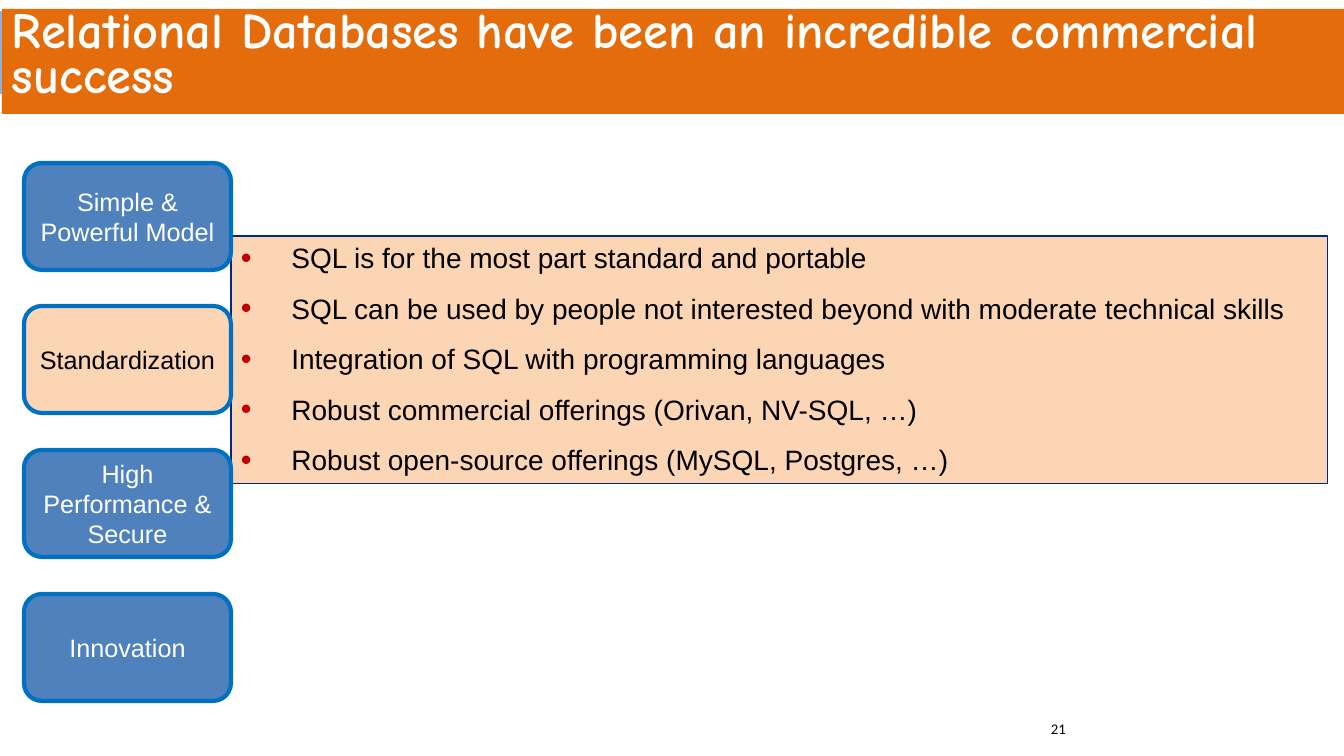
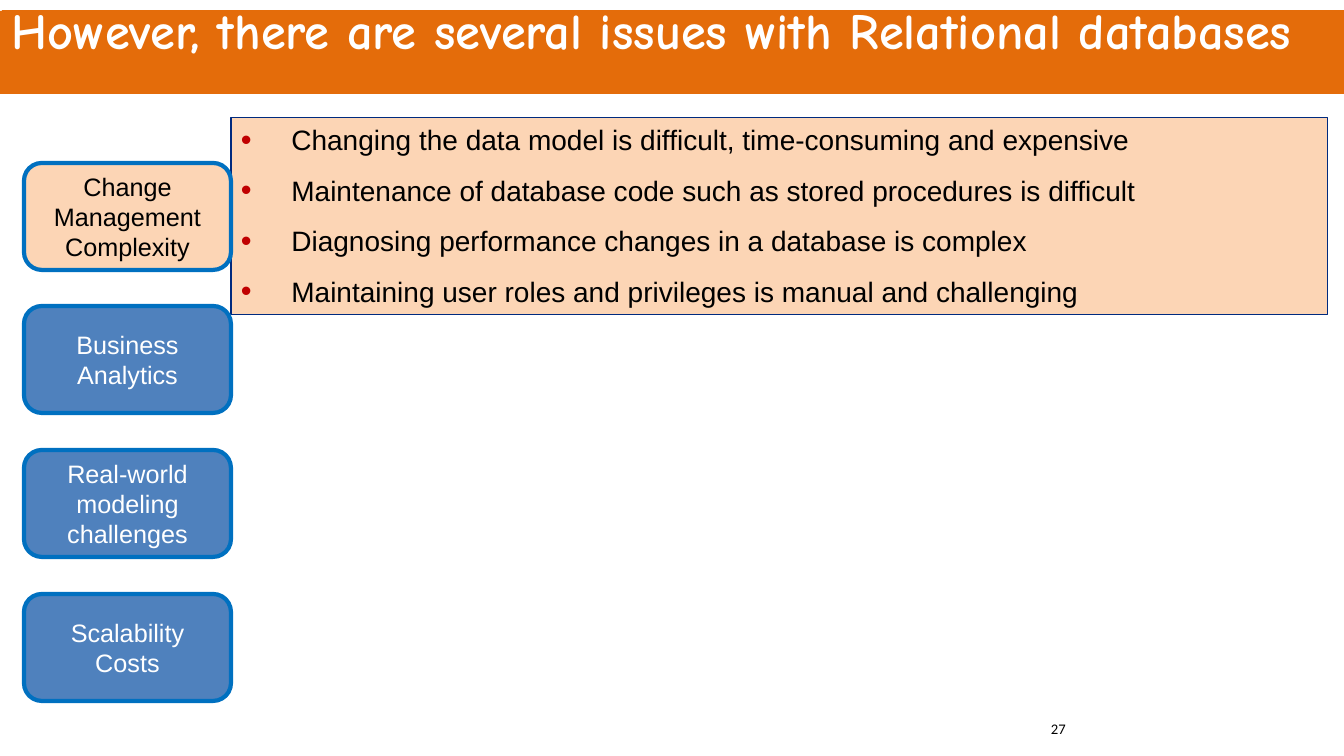
"""Build two slides on the strengths and the issues of relational databases."""
import dataclasses

import lxml.etree
import pptx
import pptx.dml.color
import pptx.enum.shapes
import pptx.enum.text
import pptx.oxml.ns
import pptx.util

RGB = pptx.dml.color.RGBColor.from_string
SHAPES = pptx.enum.shapes.MSO_SHAPE
TEXT = pptx.enum.text
SCALE = 12192000 / 1344


@dataclasses.dataclass(frozen=True)
class Theme:
    """Colours, fonts and type sizes."""
    band: str = "E46C0A"
    glow: tuple = ((0, "566A83"), (50, "7A97BA"), (100, "90B3DC"))
    topic: str = "4F81BD"
    topic_border: str = "0070C0"
    highlight: str = "FCD5B5"
    panel_border: str = "002A7E"
    bullet: str = "C00000"
    light: str = "FFFFFF"
    dark: str = "000000"
    title_font: str = "Comic Neue"
    body_font: str = "Arial"
    number_font: str = "Calibri"
    title_size: float = 36
    title_spacing: float = 32
    point_size: float = 20
    topic_size: float = 18
    number_size: float = 10.5


def px(length):
    """Turn pixels into EMU."""
    return pptx.util.Emu(round(length * SCALE))


def apply(target, **formats):
    """Set each format value as an attribute of the target."""
    for attribute, value in formats.items():
        setattr(target, attribute, value)


def add_xml(parent, tag, **attributes):
    """Append a DrawingML element to the parent."""
    return lxml.etree.SubElement(parent, pptx.oxml.ns.qn(tag), attributes)


class Deck:
    """Hold the style and the current slide, and draw each kind of element."""

    def __init__(self, theme):
        """Start an empty wide presentation."""
        self.theme = theme
        self.presentation = pptx.Presentation()
        apply(self.presentation, slide_width=px(1344), slide_height=px(756))
        self.slide = None

    def new_slide(self):
        """Make a blank slide the current one."""
        self.slide = self.presentation.slides.add_slide(self.presentation.slide_layouts[6])

    def box(self, frame, fill, border=None, weight=0, preset=SHAPES.RECTANGLE):
        """Draw a filled preset shape, with a border if one is given."""
        shape = self.slide.shapes.add_shape(preset, *map(px, frame))
        shape.shadow.inherit = False
        shape.fill.solid()
        shape.fill.fore_color.rgb = RGB(fill)
        if border:
            shape.line.color.rgb = RGB(border)
            shape.line.width = pptx.util.Pt(weight)
        else:
            shape.line.fill.background()
        return shape

    def set_text(self, shape, lines, font, size, color, bold=False, bulleted=False,
                 frame_format=None, **paragraph_format):
        """Fill a shape with one paragraph a line."""
        frame = shape.text_frame
        apply(frame, word_wrap=True, **(frame_format or {}))
        for index, line in enumerate(lines):
            paragraph = frame.add_paragraph() if index else frame.paragraphs[0]
            apply(paragraph, **paragraph_format)
            if bulleted:
                self.bullet(paragraph)
            run = paragraph.add_run()
            run.text = line
            apply(run.font, name=font, size=pptx.util.Pt(size), bold=bold)
            run.font.color.rgb = RGB(color)

    def bullet(self, paragraph):
        """Give a paragraph a hanging coloured bullet."""
        properties = paragraph._p.get_or_add_pPr()
        indent = pptx.util.Inches(0.5)
        properties.set("marL", str(int(indent)))
        properties.set("indent", str(-int(indent)))
        add_xml(add_xml(properties, "a:buClr"), "a:srgbClr", val=self.theme.bullet)
        add_xml(properties, "a:buSzPct", val="110000")
        add_xml(properties, "a:buFont", typeface="Arial")
        add_xml(properties, "a:buChar", char="•")

    def band(self, glowing):
        """Draw the strip behind the title, plain or with a radial gradient."""
        strip = self.box((0, 11, 1344, 83), self.theme.band)
        if not glowing:
            return
        strip.fill.gradient()
        gradient = strip._element.spPr.find(pptx.oxml.ns.qn("a:gradFill"))
        for part in list(gradient):
            gradient.remove(part)
        stops = add_xml(gradient, "a:gsLst")
        for position, color in self.theme.glow:
            stop = add_xml(stops, "a:gs", pos=str(position * 1000))
            add_xml(stop, "a:srgbClr", val=color)
        focus = add_xml(gradient, "a:path", path="circle")
        add_xml(focus, "a:fillToRect", l="100000", t="100000")

    def title(self, text, top, height):
        """Draw the title on its own band."""
        theme = self.theme
        heading = self.box((2, top, 1342, height), theme.band)
        self.set_text(heading, [text], theme.title_font, theme.title_size, theme.light, bold=True,
                      frame_format={"vertical_anchor": TEXT.MSO_ANCHOR.TOP,
                                    "auto_size": TEXT.MSO_AUTO_SIZE.SHAPE_TO_FIT_TEXT},
                      alignment=TEXT.PP_ALIGN.LEFT,
                      line_spacing=pptx.util.Pt(theme.title_spacing))

    def points(self, lines, top, height):
        """Draw the panel of bullet points."""
        theme = self.theme
        panel = self.box((231, top, 1097, height), theme.highlight, theme.panel_border, 0.75)
        self.set_text(panel, lines, theme.body_font, theme.point_size, theme.dark, bulleted=True,
                      frame_format={"vertical_anchor": TEXT.MSO_ANCHOR.TOP,
                                    "auto_size": TEXT.MSO_AUTO_SIZE.SHAPE_TO_FIT_TEXT},
                      alignment=TEXT.PP_ALIGN.LEFT, space_after=pptx.util.Pt(12))

    def topics(self, labels, current):
        """Draw the column of topics, with the current one highlighted."""
        theme = self.theme
        first, last = 163, 594
        for index, label in enumerate(labels):
            top = first + (last - first) * index // (len(labels) - 1)
            fill, color = ((theme.highlight, theme.dark) if label == current
                           else (theme.topic, theme.light))
            topic = self.box((24, top, 207, 107), fill, theme.topic_border, 3,
                             SHAPES.ROUNDED_RECTANGLE)
            self.set_text(topic, [label], theme.body_font, theme.topic_size, color,
                          frame_format={"vertical_anchor": TEXT.MSO_ANCHOR.MIDDLE},
                          alignment=TEXT.PP_ALIGN.CENTER)

    def number(self, value):
        """Add the slide number."""
        theme = self.theme
        footer = self.slide.shapes.add_textbox(*map(px, (1041, 715, 302, 40)))
        self.set_text(footer, [str(value)], theme.number_font, theme.number_size, theme.dark)


SLIDES = [
    {
        "title": ("Relational Databases have been an incredible commercial success", 9, 105),
        "glowing": True,
        "topics": ["Simple & Powerful Model", "Standardization",
                   "High Performance & Secure", "Innovation"],
        "current": "Standardization",
        "points": ([
            "SQL is for the most part standard and portable",
            "SQL can be used by people not interested beyond with moderate technical skills",
            "Integration of SQL with programming languages",
            "Robust commercial offerings (Orivan, NV-SQL, …)",
            "Robust open-source offerings (MySQL, Postgres, …)",
        ], 236, 248),
        "number": 21,
    },
    {
        "title": ("However, there are several issues with Relational databases", 10, 59),
        "glowing": False,
        "topics": ["Change Management Complexity", "Business Analytics",
                   "Real-world modeling challenges", "Scalability Costs"],
        "current": "Change Management Complexity",
        "points": ([
            "Changing the data model is difficult, time-consuming and expensive",
            "Maintenance of database code such as stored procedures is difficult",
            "Diagnosing performance changes in a database is complex",
            "Maintaining user roles and privileges is manual and challenging",
        ], 118, 197),
        "number": 27,
    },
]


def main():
    """Build every slide and save the presentation."""
    deck = Deck(Theme())
    for content in SLIDES:
        deck.new_slide()
        deck.band(content["glowing"])
        deck.title(*content["title"])
        deck.points(*content["points"])
        deck.topics(content["topics"], content["current"])
        deck.number(content["number"])
    deck.presentation.save("out.pptx")


if __name__ == "__main__":
    main()
